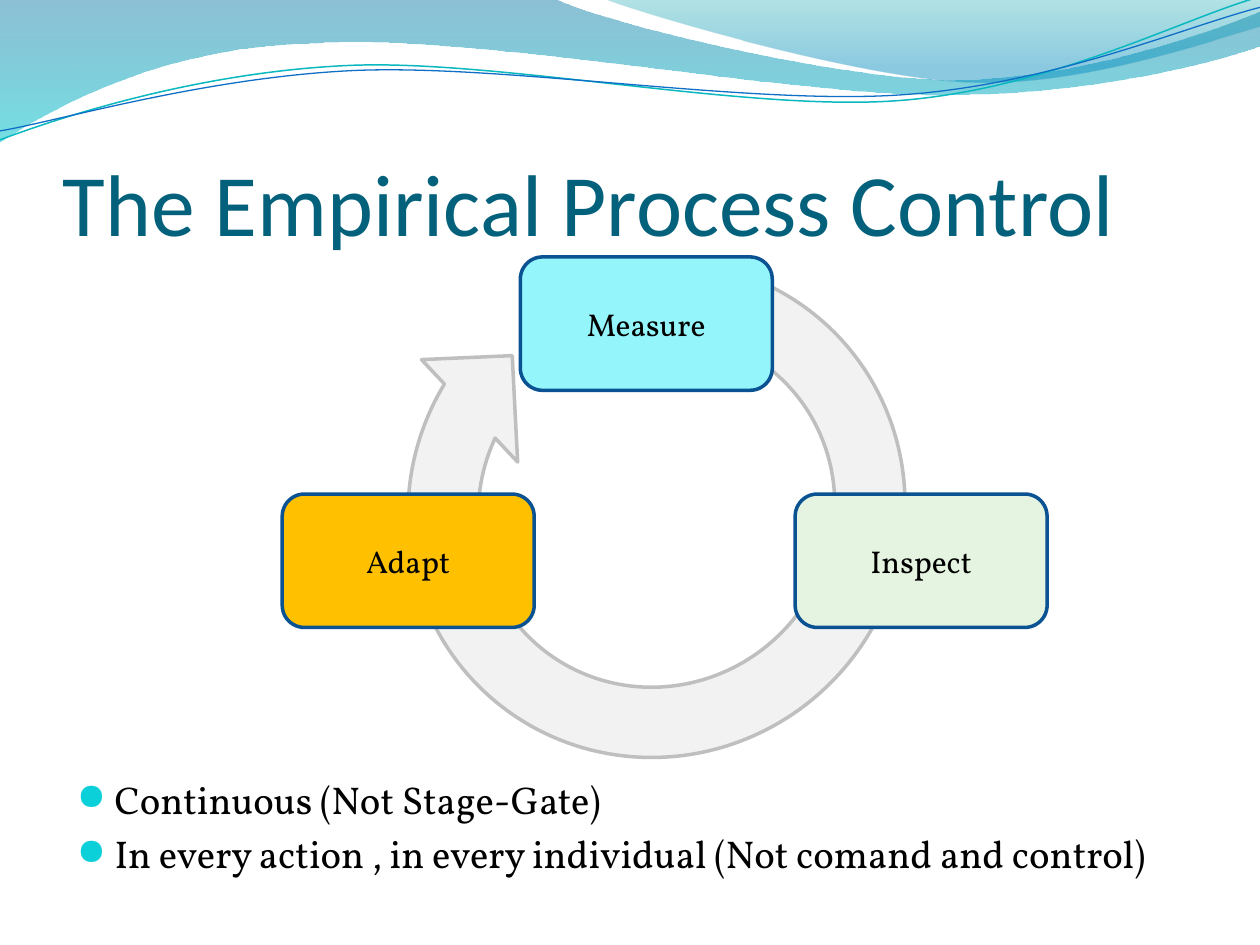
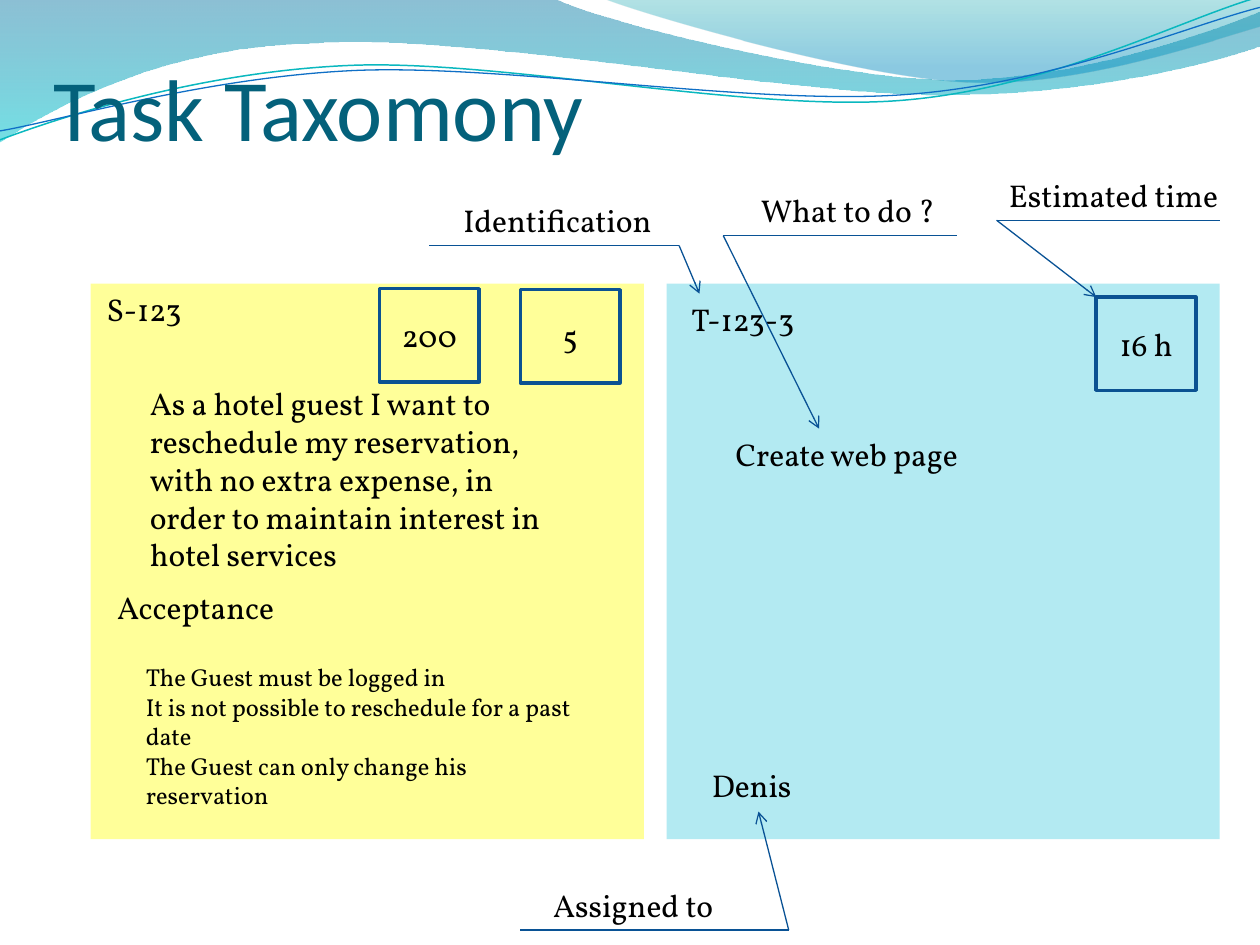
from dataclasses import dataclass
from typing import Optional

from lxml import etree
from pptx import Presentation
from pptx.dml.color import RGBColor
from pptx.enum.shapes import MSO_CONNECTOR, MSO_SHAPE
from pptx.enum.text import MSO_ANCHOR, PP_ALIGN
from pptx.oxml.ns import qn
from pptx.util import Cm, Pt

RECTANGLE = MSO_SHAPE.RECTANGLE
ROUNDED = MSO_SHAPE.ROUNDED_RECTANGLE
CIRCULAR_ARROW = MSO_SHAPE.CIRCULAR_ARROW
STRAIGHT = MSO_CONNECTOR.STRAIGHT
TOP, MIDDLE, BOTTOM = MSO_ANCHOR.TOP, MSO_ANCHOR.MIDDLE, MSO_ANCHOR.BOTTOM
LEFT, CENTER = PP_ALIGN.LEFT, PP_ALIGN.CENTER

BLACK = RGBColor(0x00, 0x00, 0x00)
TITLE_TEAL = RGBColor(0x04, 0x61, 0x7B)
BULLET_CYAN = RGBColor(0x0B, 0xD0, 0xD9)
OUTLINE_BLUE = RGBColor(0x0B, 0x52, 0x92)
POINTER_BLUE = RGBColor(0x09, 0x52, 0x95)
CYCLE_FILL = RGBColor(0xF2, 0xF2, 0xF2)
CYCLE_LINE = RGBColor(0xBF, 0xBF, 0xBF)
MEASURE_CYAN = RGBColor(0x94, 0xF5, 0xFA)
INSPECT_GREEN = RGBColor(0xE5, 0xF4, 0xE0)
ADAPT_AMBER = RGBColor(0xFF, 0xC0, 0x00)
STORY_YELLOW = RGBColor(0xFF, 0xFF, 0x99)
TASK_BLUE = RGBColor(0xB3, 0xEA, 0xF2)
WAVE_NAVY = RGBColor(0x00, 0x74, 0xA1)
WAVE_AQUA = RGBColor(0x00, 0xC6, 0xCF)
WAVE_GREEN = RGBColor(0x00, 0xA1, 0xA9)
WAVE_SKY = RGBColor(0x00, 0x8B, 0xBF)
CURVE_TEAL = RGBColor(0x0A, 0xB8, 0xBF)
CURVE_BLUE = RGBColor(0x0F, 0x6F, 0xC6)

TITLE_FONT = "Calibri"
BODY_FONT = "Vollkorn"
BULLET_FONT = "OpenSymbol"
CURVE_STEPS = 30
LABEL_HEIGHT = 1.02


@dataclass(frozen=True)
class GradientStop:
    position: float
    color: RGBColor
    opacity: int


@dataclass(frozen=True)
class Wave:
    start: tuple
    segments: tuple
    stops: tuple = ()
    line: Optional[RGBColor] = None
    weight: float = 0


@dataclass(frozen=True)
class Box:
    left: float
    top: float
    width: float
    height: float
    text: str = ""
    fill: Optional[RGBColor] = None
    line: Optional[RGBColor] = OUTLINE_BLUE
    kind: int = RECTANGLE


@dataclass(frozen=True)
class Label:
    left: float
    top: float
    width: float
    lines: tuple
    height: float = LABEL_HEIGHT
    size: float = 18


@dataclass(frozen=True)
class Callout:
    text: str
    text_left: float
    text_width: float
    underline_y: float
    near_x: float
    far_x: float
    tip: tuple


WAVES = (
    Wave((0, 0), (
        (11.18, -0.03),
        (12.09, 0.43, 16.87, 1.6, 19.25, 1.6),
        (21.67, 1.6, 24.33, 0.66, 25.4, 0.23),
        (25.43, 0.91),
        (24.97, 1.12, 22.1, 1.93, 18.95, 1.91),
        (15.8, 1.91, 9.7, 0.71, 6.53, 0.86),
        (3.28, 0.91, 1.17, 2.11, -0.03, 2.87),
        (0, 0)),
        stops=(GradientStop(0, WAVE_NAVY, 45), GradientStop(1, WAVE_AQUA, 55))),
    Wave((12.17, -0.03), (
        (12.93, 0.28, 17.32, 1.57, 19.53, 1.65),
        (21.74, 1.75, 24.41, 0.81, 25.4, 0.53),
        (25.4, 0),
        (12.17, -0.03)),
        stops=(GradientStop(0, WAVE_GREEN, 30), GradientStop(0.8, WAVE_SKY, 45))),
    Wave((0, 2.82), (
        (1.22, 2.36, 4.01, 1.45, 7.04, 1.32),
        (10.03, 1.19, 15.06, 2.26, 18.11, 2.03),
        (21.16, 1.8, 23.83, 0.38, 25.35, -0.05)), line=CURVE_TEAL, weight=0.85),
    Wave((0, 2.64), (
        (1.19, 2.44, 4.17, 1.55, 7.19, 1.42),
        (10.24, 1.3, 15.16, 2.13, 18.21, 1.91),
        (21.23, 1.7, 23.9, 0.53, 25.4, 0.15)), line=CURVE_BLUE, weight=0.75),
)

CYCLE_STEPS = (
    Box(10.49, 5.18, 5.08, 2.69, "Measure", MEASURE_CYAN, kind=ROUNDED),
    Box(16.03, 9.96, 5.08, 2.69, "Inspect", INSPECT_GREEN, kind=ROUNDED),
    Box(5.69, 9.96, 5.08, 2.69, "Adapt", ADAPT_AMBER, kind=ROUNDED),
)
CYCLE_ADJUSTMENTS = (0.125, 11.423, 204.577, 28.126, 0.125)
CYCLE_NOTES = (
    "Continuous (Not Stage-Gate)",
    "In every action , in every individual (Not comand and control)",
)

TASK_PARTS = (
    Box(1.83, 5.72, 11.15, 11.2, fill=STORY_YELLOW, line=None),
    Label(1.9, 5.72, 2.39, ("S-123",)),
    Box(10.49, 5.84, 2.01, 1.88, "5"),
    Box(7.65, 5.82, 2.01, 1.88, "200"),
    Label(2.77, 7.62, 8.41, (
        "As a hotel guest I want to reschedule my reservation, with no extra "
        "expense, in order to maintain interest in hotel services",), 4.11),
    Label(2.11, 11.73, 5.59, ("Acceptance",)),
    Label(2.69, 13.23, 9.19, (
        "The Guest must be logged in\n"
        "It is not possible to reschedule for a past date",
        "The Guest can only change his reservation"), 3.25, 14),
    Box(13.44, 5.72, 11.15, 11.2, fill=TASK_BLUE, line=None),
    Label(13.69, 5.92, 3.2, ("T-123-3",)),
    Box(22.1, 5.99, 2.01, 1.88, "16 h"),
    Label(14.58, 8.64, 8.41, ("Create web page",)),
    Label(14.1, 15.32, 5.59, ("Denis",)),
)
CALLOUTS = (
    Callout("Estimated time", 20.09, 4.72, 4.44, 20.09, 24.59, (22.1, 5.99)),
    Callout("What to do ?", 15.09, 4.04, 4.75, 14.58, 19.3, (16.51, 8.64)),
    Callout("Assigned to", 10.9, 3.89, 18.75, 15.9, 10.49, (15.29, 16.36)),
    Callout("Identification", 9.09, 4.32, 4.95, 13.69, 8.64, (14.1, 5.92)),
)


def write_text(shape, lines, *, size: float = 18, font: str = BODY_FONT,
               color: RGBColor = BLACK, align=LEFT, anchor=TOP,
               bullet: bool = False) -> None:
    frame = shape.text_frame
    frame.word_wrap = True
    frame.vertical_anchor = anchor
    for index, line in enumerate(lines):
        paragraph = frame.add_paragraph() if index else frame.paragraphs[0]
        paragraph.alignment = align
        paragraph.text = line
        for run in paragraph.runs:
            run.font.size = Pt(size)
            run.font.name = font
            run.font.color.rgb = color
        for line_break in paragraph._p.findall(qn("a:br")):
            etree.SubElement(line_break, qn("a:rPr")).set("sz", str(int(size * 100)))
        if bullet:
            add_bullet(paragraph)


def add_bullet(paragraph) -> None:
    properties = paragraph._p.get_or_add_pPr()
    properties.set("marL", str(Cm(0.76)))
    properties.set("indent", str(-Cm(0.76)))
    spacing = etree.SubElement(properties, qn("a:spcBef"))
    etree.SubElement(spacing, qn("a:spcPct")).set("val", "20000")
    bullet_color = etree.SubElement(properties, qn("a:buClr"))
    etree.SubElement(bullet_color, qn("a:srgbClr")).set("val", str(BULLET_CYAN))
    etree.SubElement(properties, qn("a:buSzPct")).set("val", "95000")
    etree.SubElement(properties, qn("a:buFont")).set("typeface", BULLET_FONT)
    etree.SubElement(properties, qn("a:buChar")).set("char", "●")


def add_text_box(slide, left: float, top: float, width: float, height: float):
    return slide.shapes.add_textbox(Cm(left), Cm(top), Cm(width), Cm(height))


def style_shape(shape, fill: Optional[RGBColor], line: Optional[RGBColor],
                weight: float = 2) -> None:
    shape.shadow.inherit = False
    if fill is None:
        shape.fill.background()
    else:
        shape.fill.solid()
        shape.fill.fore_color.rgb = fill
    if line is None:
        shape.line.fill.background()
    else:
        shape.line.color.rgb = line
        shape.line.width = Pt(weight)


def draw_box(slide, box: Box):
    shape = slide.shapes.add_shape(
        box.kind, Cm(box.left), Cm(box.top), Cm(box.width), Cm(box.height))
    style_shape(shape, box.fill, box.line)
    if box.text:
        write_text(shape, (box.text,), align=CENTER, anchor=MIDDLE)
    return shape


def draw_label(slide, label: Label) -> None:
    shape = add_text_box(slide, label.left, label.top, label.width, label.height)
    write_text(shape, label.lines, size=label.size)


def draw_line(slide, start: tuple, end: tuple, arrow: bool = False) -> None:
    connector = slide.shapes.add_connector(
        STRAIGHT, Cm(start[0]), Cm(start[1]), Cm(end[0]), Cm(end[1]))
    connector.line.color.rgb = POINTER_BLUE
    connector.line.width = Pt(0.75)
    properties = connector.element.spPr
    if arrow:
        outline = properties.find(qn("a:ln"))
        etree.SubElement(outline, qn("a:tailEnd")).set("type", "arrow")
    etree.SubElement(properties, qn("a:effectLst"))


def draw_callout(slide, callout: Callout) -> None:
    y = callout.underline_y
    draw_label(slide, Label(callout.text_left, y - LABEL_HEIGHT,
                            callout.text_width, (callout.text,)))
    corner = (callout.near_x, y)
    draw_line(slide, corner, (callout.far_x, y))
    draw_line(slide, corner, callout.tip, arrow=True)


def curve_points(start: tuple, segment: tuple) -> list:
    if len(segment) == 2:
        return [segment]
    controls = (start, segment[:2], segment[2:4], segment[4:])
    points = []
    for step in range(1, CURVE_STEPS + 1):
        t = step / CURVE_STEPS
        weights = ((1 - t) ** 3, 3 * t * (1 - t) ** 2, 3 * t * t * (1 - t), t ** 3)
        points.append(tuple(
            sum(weight * control[axis] for weight, control in zip(weights, controls))
            for axis in (0, 1)))
    return points


def set_curves(shape, wave: Wave) -> None:
    outline = next(shape.element.iter(qn("a:path")))
    for command in list(outline)[1:]:
        outline.remove(command)
    for segment in wave.segments:
        name = "a:lnTo" if len(segment) == 2 else "a:cubicBezTo"
        command = etree.SubElement(outline, qn(name))
        for x, y in zip(segment[::2], segment[1::2]):
            point = etree.SubElement(command, qn("a:pt"))
            point.set("x", str(Cm(x) - shape.left))
            point.set("y", str(Cm(y) - shape.top))
    if wave.stops:
        etree.SubElement(outline, qn("a:close"))


def draw_wave(slide, wave: Wave) -> None:
    points = [wave.start]
    for segment in wave.segments:
        points.extend(curve_points(points[-1], segment))
    outline = [(Cm(x), Cm(y)) for x, y in points]
    builder = slide.shapes.build_freeform(*outline[0])
    builder.add_line_segments(outline[1:], close=False)
    shape = builder.convert_to_shape()
    set_curves(shape, wave)
    style_shape(shape, None, wave.line, wave.weight)
    if wave.stops:
        shape.fill.gradient()
        shape.fill.gradient_angle = 270
        for stop, target in zip(wave.stops, shape.fill.gradient_stops):
            target.position = stop.position
            target.color.rgb = stop.color
        colors = shape.element.spPr.find(qn("a:gradFill")).iter(qn("a:srgbClr"))
        for stop, color in zip(wave.stops, colors):
            etree.SubElement(color, qn("a:alpha")).set("val", str(stop.opacity * 1000))


def add_slide(presentation, title: str, left: float, top: float):
    slide = presentation.slides.add_slide(presentation.slide_layouts[6])
    for wave in WAVES:
        draw_wave(slide, wave)
    shape = add_text_box(slide, left, top, 22.86, 3.18)
    frame = shape.text_frame
    frame.margin_left = frame.margin_right = frame.margin_bottom = Cm(0)
    write_text(shape, (title,), size=50, font=TITLE_FONT, color=TITLE_TEAL, anchor=BOTTOM)
    return slide


def build_process_slide(presentation) -> None:
    slide = add_slide(presentation, "The Empirical Process Control", 1.27, 1.95)
    cycle = draw_box(slide, Box(7.57, 4.5, 11.33, 11.53, fill=CYCLE_FILL,
                                line=CYCLE_LINE, kind=CIRCULAR_ARROW))
    cycle.rotation = 226.8
    for index, value in enumerate(CYCLE_ADJUSTMENTS):
        cycle.adjustments[index] = value
    for step in CYCLE_STEPS:
        draw_box(slide, step)
    notes = add_text_box(slide, 1.3, 15.52, 22.86, 2.82)
    write_text(notes, CYCLE_NOTES, size=22.1, bullet=True)


def build_task_slide(presentation) -> None:
    slide = add_slide(presentation, "Task Taxomony", 1.07, 0.03)
    for part in TASK_PARTS:
        draw = draw_box if isinstance(part, Box) else draw_label
        draw(slide, part)
    for callout in CALLOUTS:
        draw_callout(slide, callout)


def main() -> None:
    presentation = Presentation()
    presentation.slide_width = Cm(25.4)
    presentation.slide_height = Cm(19.05)
    build_process_slide(presentation)
    build_task_slide(presentation)
    presentation.save("out.pptx")


if __name__ == "__main__":
    main()
